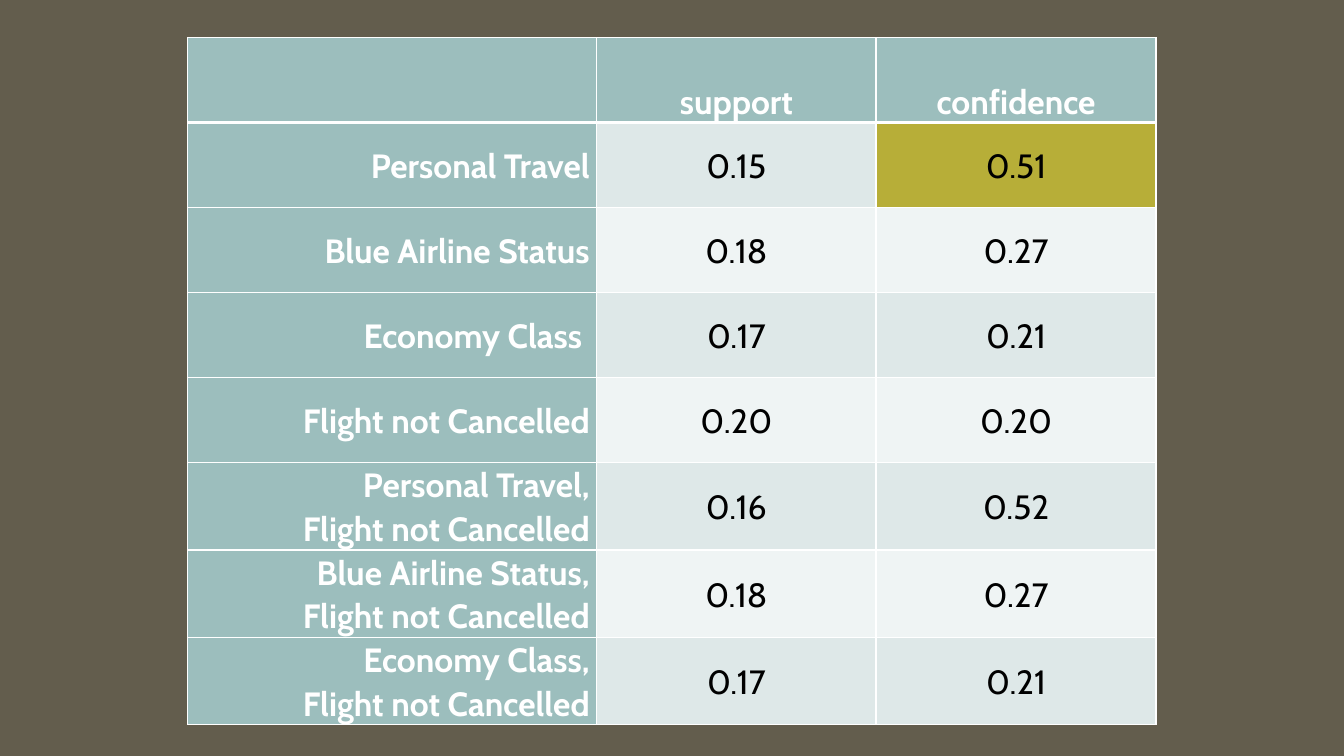
from dataclasses import dataclass

from lxml import etree
from pptx import Presentation
from pptx.dml.color import RGBColor
from pptx.enum import text
from pptx.oxml import ns
from pptx.util import Pt

HEADINGS = ("", "support", "confidence")
RULES = [
    ("Personal Travel", "0.15", "0.51"),
    ("Blue Airline Status", "0.18", "0.27"),
    ("Economy Class ", "0.17", "0.21"),
    ("Flight not Cancelled", "0.20", "0.20"),
    ("Personal Travel,\nFlight not Cancelled", "0.16", "0.52"),
    ("Blue Airline Status,\nFlight not Cancelled", "0.18", "0.27"),
    ("Economy Class,\nFlight not Cancelled", "0.17", "0.21"),
]
HIGHLIGHT = (1, 2)


@dataclass(frozen=True)
class Theme:
    background: str = "635D4D"
    header: str = "9CBEBD"
    bands: tuple = ("EFF4F4", "DEE8E8")
    highlight: str = "B7AE38"
    light: str = "FFFFFF"
    dark: str = "000000"
    font: str = "Cabin"
    size: float = 24
    line_spacing: float = 1.07
    thin: float = 1
    thick: float = 3


THEME = Theme()
LEFT, TOP = 133.92, 26.9
COLUMN_WIDTHS = (292.3, 199.6, 200)
ROW_HEIGHT = 60.7


def write(cell, content, *, color, bold, align, anchor):
    cell.margin_left = cell.margin_right = Pt(5)
    cell.margin_top = cell.margin_bottom = Pt(0)
    cell.vertical_anchor = anchor
    frame = cell.text_frame
    frame.text = content
    for paragraph in frame.paragraphs:
        paragraph.alignment = align
        paragraph.line_spacing = THEME.line_spacing
        font = paragraph.font
        for run in paragraph.runs:
            font = run.font
            font.name = THEME.font
            font.bold = bold
            font.color.rgb = RGBColor.from_string(color)
        font.size = Pt(THEME.size)


def add_borders(cell, **widths):
    properties = cell._tc.get_or_add_tcPr()
    for index, side in enumerate("LRTB"):
        line = etree.Element(ns.qn(f"a:ln{side}"), w=str(Pt(widths.get(side, THEME.thin))))
        fill = etree.SubElement(line, ns.qn("a:solidFill"))
        etree.SubElement(fill, ns.qn("a:srgbClr"), val=THEME.light)
        properties.insert(index, line)


def cell_fill(row, column):
    if (row, column) == HIGHLIGHT:
        return THEME.highlight
    if row == 0 or column == 0:
        return THEME.header
    return THEME.bands[row % 2]


presentation = Presentation()
presentation.slide_width, presentation.slide_height = Pt(960), Pt(540)
slide = presentation.slides.add_slide(presentation.slide_layouts[6])
slide.background.fill.solid()
slide.background.fill.fore_color.rgb = RGBColor.from_string(THEME.background)

rows = [HEADINGS, *RULES]
table = slide.shapes.add_table(
    len(rows), len(HEADINGS), Pt(LEFT), Pt(TOP),
    Pt(sum(COLUMN_WIDTHS)), Pt(ROW_HEIGHT * len(rows)),
).table
for column, width in zip(table.columns, COLUMN_WIDTHS):
    column.width = Pt(width)

for row, values in enumerate(rows):
    table.rows[row].height = Pt(ROW_HEIGHT)
    for column, value in enumerate(values):
        cell = table.cell(row, column)
        is_header = row == 0 or column == 0
        write(
            cell, value,
            color=THEME.light if is_header else THEME.dark,
            bold=is_header,
            align=text.PP_ALIGN.CENTER if column else text.PP_ALIGN.RIGHT,
            anchor=text.MSO_ANCHOR.MIDDLE if row else text.MSO_ANCHOR.BOTTOM,
        )
        cell.fill.solid()
        cell.fill.fore_color.rgb = RGBColor.from_string(cell_fill(row, column))
        add_borders(cell, **{0: {"B": THEME.thick}, 1: {"T": THEME.thick}}.get(row, {}))

presentation.save("out.pptx")
